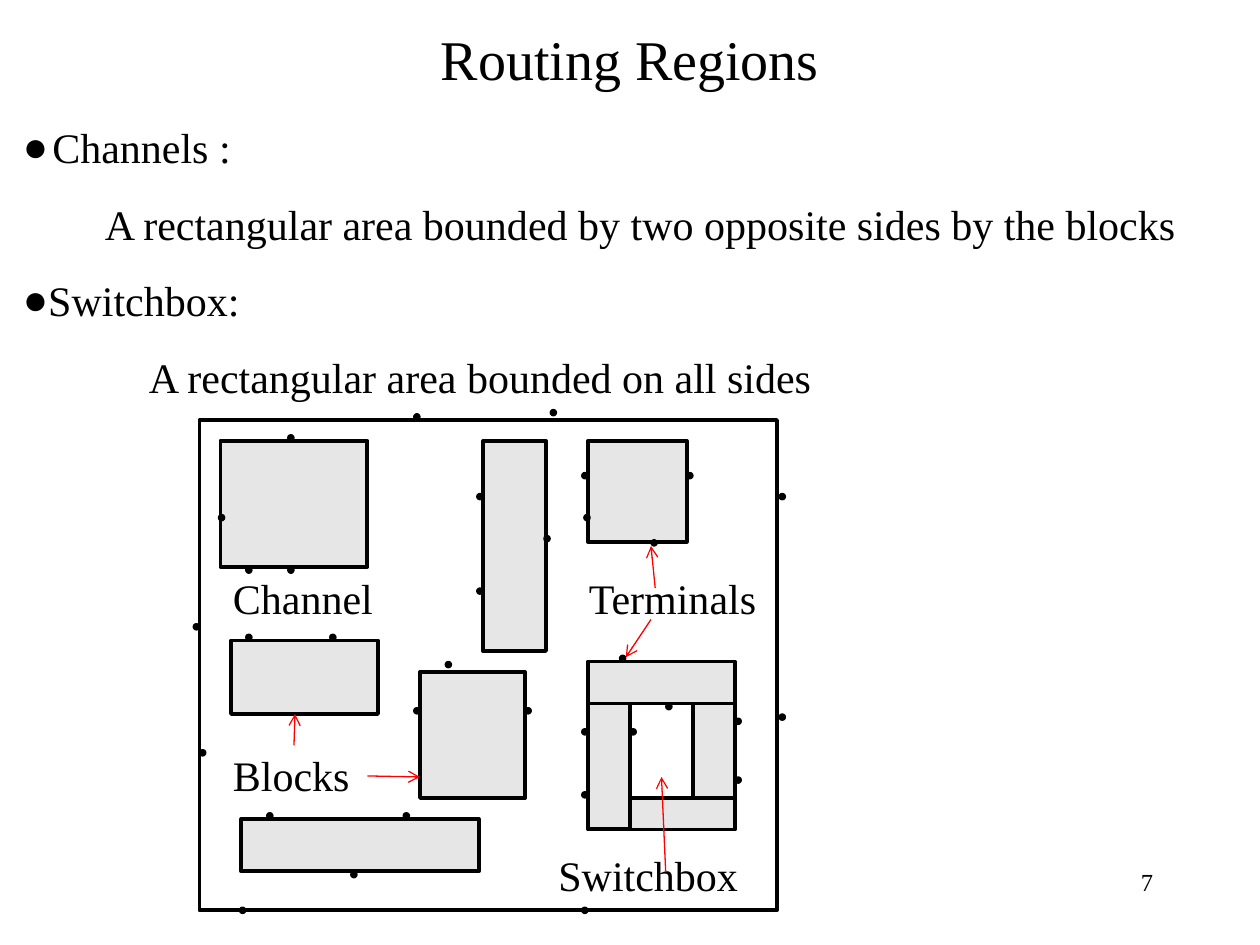
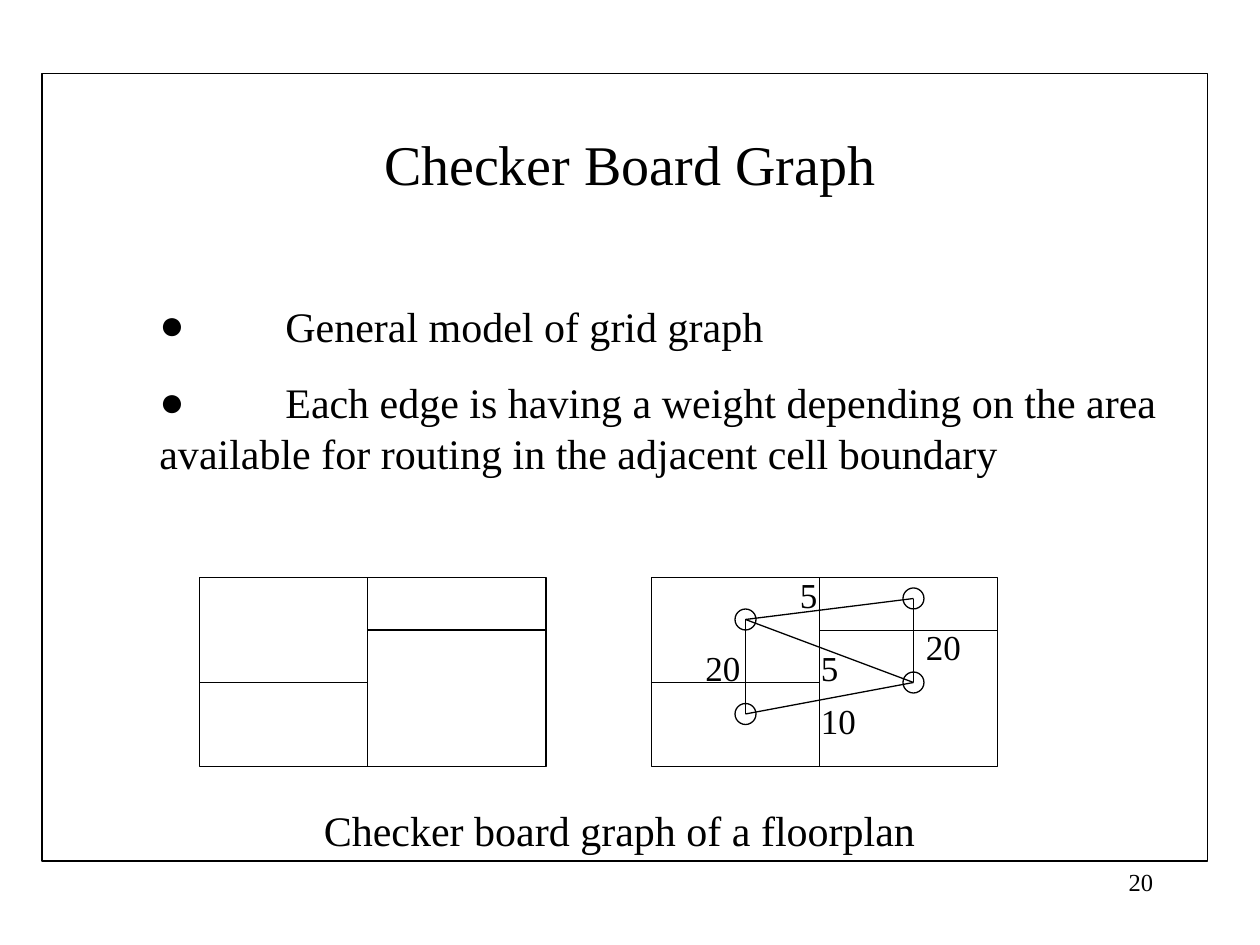
"""Build two slides on routing regions and checker board graphs."""
import lxml.etree
import pptx
import pptx.dml.color
import pptx.enum.shapes
import pptx.enum.text
import pptx.oxml.ns
import pptx.util

COLS, ROWS = 120, 90
UNIT = pptx.util.Inches(10) / COLS
HUES = {"ink": "000000", "block": "E6E6E6", "node": "FFFFFF", "arrow": "FF0000"}
FONT, MARK = "Times New Roman", "Arial"
KINDS = pptx.enum.shapes.MSO_SHAPE
ALIGN = pptx.enum.text.PP_ALIGN
ANCHOR = pptx.enum.text.MSO_ANCHOR

BLOCKS = [
    (2, 2, 14, 12), (27, 2, 6, 20), (3, 21, 14, 7), (21, 24, 10, 12), (37, 2, 9.4, 9.6),
    (37, 23, 14, 4), (37, 27, 4, 12), (41, 36, 10, 3), (47, 27, 4, 9), (4, 38, 22.6, 5),
]
PINS = {
    -1: [33.4], -0.6: [20.4], 1.4: [8.4], 5: [36.4, 46.4], 7: [26.4, 55.2],
    9: [1.8, 36.6], 11: [32.8], 11.4: [43], 14: [4.4, 8.4], 16: [26.4],
    19.4: [-0.6], 20.4: [4.4, 12.4], 22.4: [40], 23: [23.4], 27: [44.4],
    27.4: [20.4, 31], 28: [55.2], 28.4: [51], 29.4: [36.4, 41], 31.4: [0],
    34: [51], 35.4: [36.4], 37.4: [6.4, 19.4], 43: [14.4], 46.4: [3.8, 36.4],
}
ARROWS = [
    (9, 31, 9.1, 28), (44.4, 43, 44, 34), (16, 33.9, 21, 34),
    (43.4, 16, 43, 12), (43, 19, 40.6, 22.6),
]
LABELS = [("Channel", 2, 13.9), ("Terminals", 35.9, 13.9), ("Blocks", 2, 30.8), ("Switchbox", 33, 40.3)]
WALLS = [(16, 0, 16, 18), (0, 10, 16, 10), (16, 5, 33, 5)]
NODES = [(9, 4), (25, 2), (9, 13), (25, 10)]
EDGES = [(0, 2), (0, 1), (1, 3), (2, 3), (0, 3)]
WEIGHTS = [("5", 13, -1), ("5", 15, 6), ("20", 25, 4), ("20", 4, 6), ("10", 15, 11)]


def size(*vals):
    """Turn grid units into lengths."""
    return [round(val * UNIT) for val in vals]


def hue(name):
    """Look up a colour."""
    return pptx.dml.color.RGBColor.from_string(HUES[name])


def shift(box, x, y):
    """Move a point from a box to the slide."""
    return box[0] + x, box[1] + y


def add(host, tag, **keys):
    """Append a drawing element with its attributes."""
    item = lxml.etree.SubElement(host, pptx.oxml.ns.qn("a:" + tag))
    for key, val in keys.items():
        item.set(key, val)
    return item


def bullet(par, left, hang):
    """Give a paragraph a round bullet, and a tab stop if it does not hang."""
    props = par._p.get_or_add_pPr()
    props.set("marL", str(size(left)[0]))
    props.set("indent", str(size(-hang)[0]))
    add(props, "buFont", typeface=MARK)
    add(props, "buChar", char="●")
    if not hang:
        add(add(props, "tabLst"), "tab", pos=str(size(12)[0]), algn="l")


def write(par, text, pts, align=ALIGN.LEFT):
    """Add one styled run to a paragraph."""
    par.alignment = align
    run = par.add_run()
    run.text = text
    run.font.size = pptx.util.Pt(pts)
    run.font.name = FONT
    run.font.color.rgb = hue("ink")


def panel(slide, box):
    """Add an empty text box that wraps."""
    frame = slide.shapes.add_textbox(*size(*box)).text_frame
    frame.word_wrap = True
    return frame


def label(slide, box, text, pts=24, align=ALIGN.LEFT):
    """Add a text box with one line."""
    write(panel(slide, box).paragraphs[0], text, pts, align)


def shape(slide, box, fill=None, width=0.75, kind=KINDS.RECTANGLE):
    """Add an outlined shape."""
    item = slide.shapes.add_shape(kind, *size(*box))
    item.shadow.inherit = False
    if fill:
        item.fill.solid()
        item.fill.fore_color.rgb = hue(fill)
    else:
        item.fill.background()
    item.line.color.rgb = hue("ink")
    item.line.width = pptx.util.Pt(width)


def line(slide, start, end, tint="ink", width=0.75, head=False):
    """Draw a line, with an arrowhead at its end on request."""
    item = slide.shapes.add_connector(pptx.enum.shapes.MSO_CONNECTOR.STRAIGHT, *size(*start, *end))
    item.line.color.rgb = hue(tint)
    item.line.width = pptx.util.Pt(width)
    if head:
        add(item.line._get_or_add_ln(), "tailEnd", type="arrow")
    add(item._element.spPr, "effectLst")


def start(deck, title, box, page):
    """Add a slide with its title and page number."""
    slide = deck.slides.add_slide(deck.slide_layouts[5])
    head = slide.shapes.title
    head.left, head.top, head.width, head.height = size(*box)
    head.text_frame.vertical_anchor = ANCHOR.MIDDLE
    write(head.text_frame.paragraphs[0], title, 32, ALIGN.CENTER)
    label(slide, (86, 82, 25, 6), page, 14, ALIGN.RIGHT)
    return slide


def body(slide, box, rows):
    """Write rows of text, left, hang and bullet flag in a box."""
    frame = panel(slide, box)
    for num, (text, left, hang, dot) in enumerate(rows):
        par = frame.add_paragraph() if num else frame.paragraphs[0]
        if dot:
            bullet(par, left, hang)
        else:
            par._p.get_or_add_pPr().set("marL", str(size(left)[0]))
        if num:
            par.space_before = pptx.util.Pt(15)
        write(par, text, 24)


def layout(slide, box):
    """Draw the chip with its blocks, pins, labels and arrows."""
    shape(slide, box, width=2.25)
    for x, y, wide, high in BLOCKS:
        shape(slide, (*shift(box, x, y), wide, high), "block", 2.25)
    for text, x, y in LABELS:
        label(slide, (*shift(box, x, y), 20, 6), text)
    for y, row in PINS.items():
        for x in row:
            shape(slide, (*shift(box, x, y), 0.6, 0.6), "ink", kind=KINDS.OVAL)
    for x, y, right, low in ARROWS:
        line(slide, shift(box, x, y), shift(box, right, low), "arrow", head=True)


def plan(slide, box, width=0.75):
    """Draw a floorplan of four cells."""
    shape(slide, box, width=width)
    for x, y, right, low in WALLS:
        line(slide, shift(box, x, y), shift(box, right, low), width=width)


def graph(slide, box):
    """Draw the weighted graph over its floorplan."""
    spots = [shift(box, x, y) for x, y in NODES]
    for x, y in spots:
        shape(slide, (x - 1, y - 1, 2, 2), "node", kind=KINDS.OVAL)
    for one, two in EDGES:
        line(slide, spots[one], spots[two])
    for text, x, y in WEIGHTS:
        label(slide, (*shift(box, x, y), 8, 5.3), text, 20)
    plan(slide, box, 0.25)


def regions(deck):
    """Build the slide on routing regions."""
    slide = start(deck, "Routing Regions", (9, 0, 102, 11), "7")
    body(slide, (1, 11, 116, 28), [
        ("Channels :", 2.8, 2.8, True),
        ("A rectangular area bounded by two opposite sides by the blocks", 7.8, 0, False),
        ("Switchbox:", 2.4, 2.4, True),
        ("A rectangular area bounded on all sides", 12, 0, False),
    ])
    layout(slide, (19, 40, 55, 46.7))


def checker(deck):
    """Build the slide on the checker board graph."""
    slide = start(deck, "Checker Board Graph", (9, 8, 102, 15), "20")
    shape(slide, (4, 7, 111, 75))
    body(slide, (14, 28, 99, 18), [
        ("\tGeneral model of grid graph", 0, 0, True),
        ("\tEach edge is having a weight depending on the area "
         "available for routing in the adjacent cell boundary", 0, 0, True),
    ])
    plan(slide, (19, 55, 33, 18))
    graph(slide, (62, 55, 33, 18))
    label(slide, (15, 76, 88, 6), "Checker board graph of a floorplan", align=ALIGN.CENTER)


def main():
    """Build and save the deck."""
    deck = pptx.Presentation()
    deck.slide_width, deck.slide_height = size(COLS, ROWS)
    regions(deck)
    checker(deck)
    deck.save("out.pptx")


if __name__ == "__main__":
    main()
